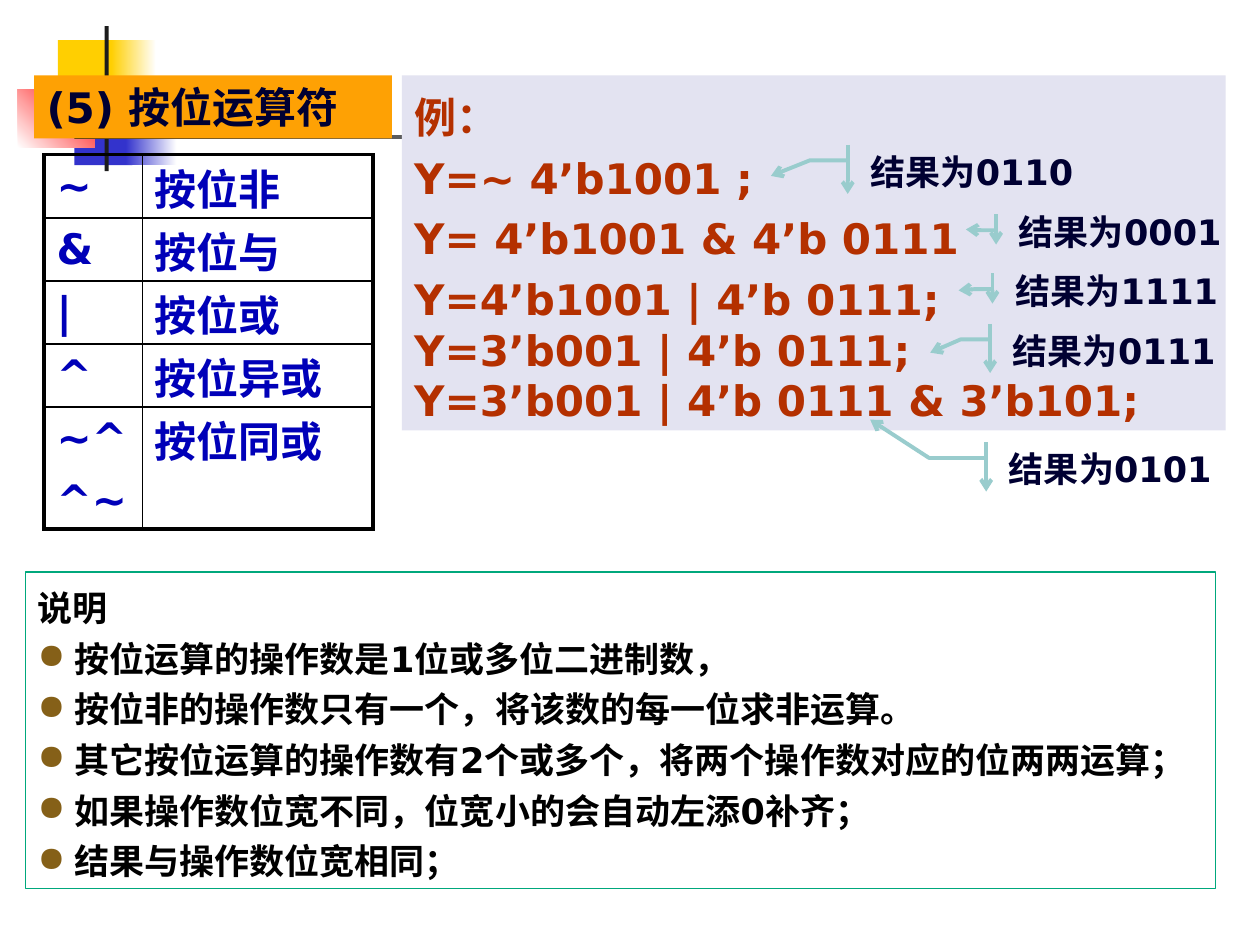
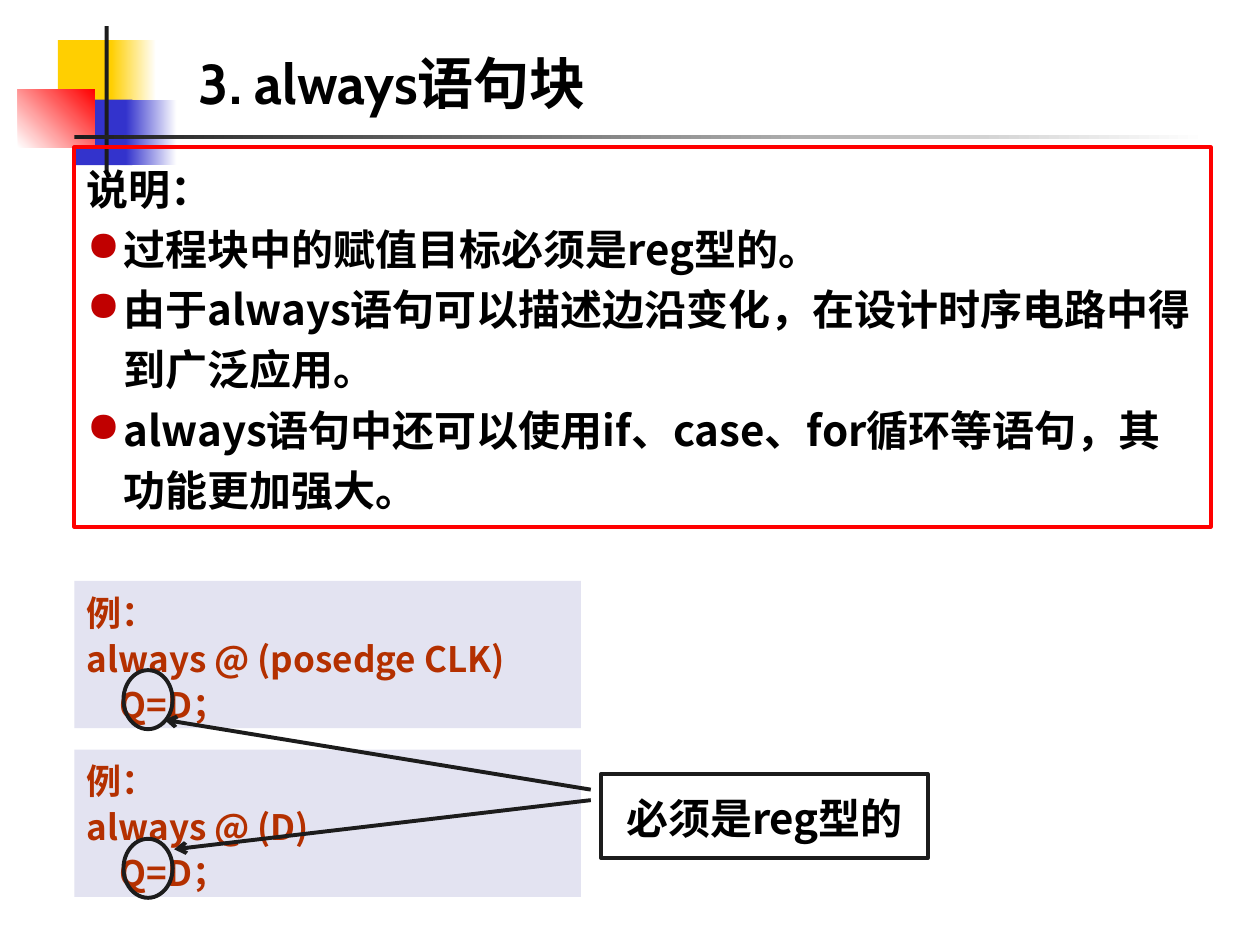
from dataclasses import dataclass

from lxml import etree
from pptx import Presentation
from pptx.dml.color import RGBColor
from pptx.enum.shapes import MSO_CONNECTOR, MSO_SHAPE
from pptx.enum.text import MSO_ANCHOR, PP_ALIGN
from pptx.oxml.ns import qn
from pptx.util import Cm, Pt

RECT, OVAL = MSO_SHAPE.RECTANGLE, MSO_SHAPE.OVAL
BENT_CALLOUT = MSO_SHAPE.LINE_CALLOUT_2_ACCENT_BAR
BOX_CALLOUT = MSO_SHAPE.LINE_CALLOUT_1
STRAIGHT = MSO_CONNECTOR.STRAIGHT
TOP, MIDDLE, BOTTOM = MSO_ANCHOR.TOP, MSO_ANCHOR.MIDDLE, MSO_ANCHOR.BOTTOM
LEFT, CENTER, JUSTIFY = PP_ALIGN.LEFT, PP_ALIGN.CENTER, PP_ALIGN.JUSTIFY


@dataclass(frozen=True)
class Theme:
    white: str = "FFFFFF"
    black: str = "000000"
    ink: str = "1C1C1C"
    navy: str = "000032"
    yellow: str = "FFCF01"
    blue: str = "3333CC"
    red: str = "FF0000"
    orange: str = "FEA104"
    panel: str = "E3E3F1"
    code: str = "B43000"
    operator: str = "0000B8"
    pointer: str = "99CCCD"
    note_border: str = "00A87C"
    note_bullet: str = "856018"
    rule_bullet: str = "C00000"
    title_size: int = 32
    large: int = 24
    body: int = 20
    stroke: float = 2.25
    thin: float = 1
    hairline: float = 0.75
    title_font: str = "Cabin"
    code_font: str = "DejaVu Sans"
    cjk_font: str = "Noto Sans CJK SC"


T = Theme()


@dataclass(frozen=True)
class Box:
    left: float
    top: float
    width: float
    height: float

    def cm(self) -> tuple:
        return Cm(self.left), Cm(self.top), Cm(self.width), Cm(self.height)


@dataclass(frozen=True)
class Style:
    size: int
    color: str
    font: str
    pitch: float
    align: PP_ALIGN = LEFT


@dataclass(frozen=True)
class Line:
    text: str
    bullet: str = ""
    indent: float = 0
    hanging: float = 0
    pitch: float = 0
    before: float = 0


@dataclass(frozen=True)
class Band:
    box: Box
    start: str
    end: str = ""
    angle: int = 0


@dataclass(frozen=True)
class Result:
    value: str
    box: Box
    bends: tuple


HEADING = Style(T.large, T.navy, T.code_font, 29)
OPERATOR = Style(T.large, T.operator, T.code_font, 28.8)
BITWISE_CODE = Style(T.large, T.code, T.code_font, 34.6)
RESULT = Style(T.body, T.navy, T.code_font, 26)
NOTES = Style(T.body, T.black, T.code_font, 28.9, JUSTIFY)
TITLE = Style(T.title_size, T.black, T.title_font, 38)
RULES = Style(T.large, T.black, T.cjk_font, 34.4)
ALWAYS_CODE = Style(T.body, T.code, T.cjk_font, 26.3)
REG_LABEL = Style(T.large, T.black, T.cjk_font, 31, CENTER)
HANG = 0.74

BANDS = (
    Band(Box(1.17, 0.81, 1.22, 1.32), T.yellow),
    Band(Box(2.24, 0.81, 0.91, 1.32), T.yellow, T.white),
    Band(Box(1.5, 2.01, 1.17, 1.32), T.blue),
    Band(Box(2.54, 2.01, 1.02, 1.32), T.blue, T.white),
    Band(Box(0.36, 1.8, 1.55, 1.17), T.white, T.red, 45),
    Band(Box(2.11, 0.53, 0.08, 2.92), T.ink),
    Band(Box(1.5, 2.72, 22.86, 0.08), T.ink, T.white),
)


# Text and line helpers
def rgb(color: str) -> RGBColor:
    return RGBColor.from_string(color)


def write(frame, lines, style: Style, anchor=TOP) -> None:
    frame.word_wrap = True
    frame.vertical_anchor = anchor
    for number, line in enumerate(lines):
        paragraph = frame.paragraphs[0] if number == 0 else frame.add_paragraph()
        paragraph.text = line.text
        paragraph.alignment = style.align
        paragraph.line_spacing = Pt(line.pitch or style.pitch)
        paragraph.space_before = Pt(line.before)
        font = paragraph.font
        font.size, font.bold, font.name = Pt(style.size), True, style.font
        font.color.rgb = rgb(style.color)
        properties = paragraph._p.get_or_add_pPr()
        properties.set("marL", str(Cm(line.indent)))
        properties.set("indent", str(-Cm(line.hanging)))
        defaults = properties.find(qn("a:defRPr"))
        etree.SubElement(defaults, qn("a:ea"), typeface=T.cjk_font)
        if line.bullet:
            color = etree.Element(qn("a:buClr"))
            etree.SubElement(color, qn("a:srgbClr"), val=line.bullet)
            defaults.addprevious(color)
            defaults.addprevious(etree.Element(qn("a:buChar"), char="●"))


def stroke(line, color: str, width: float, arrow: bool = False) -> None:
    line.color.rgb = rgb(color)
    line.width = Pt(width)
    if arrow:
        etree.SubElement(line._get_or_add_ln(), qn("a:tailEnd"), type="arrow")


def draw(slide, box: Box, kind=RECT, fill: str = "", line: str = "",
         width: float = T.stroke, arrow: bool = False, bends: tuple = ()):
    shape = slide.shapes.add_shape(kind, *box.cm())
    shape.shadow.inherit = False
    for index, bend in enumerate(bends):
        shape.adjustments[index] = bend
    if fill:
        shape.fill.solid()
        shape.fill.fore_color.rgb = rgb(fill)
    else:
        shape.fill.background()
    if line:
        stroke(shape.line, line, width, arrow)
    else:
        shape.line.fill.background()
    return shape


def bulleted(heading: str, points, color: str) -> list:
    return [Line(heading, "", HANG, HANG)] + [
        Line(point, color, HANG, HANG) for point in points]


def new_slide(deck):
    """Add a slide with the shared corner ornament and rule."""
    slide = deck.slides.add_slide(deck.slide_layouts[6])
    for band in BANDS:
        shape = draw(slide, band.box, fill=band.start)
        if band.end:
            shape.fill.gradient()
            shape.fill.gradient_angle = band.angle
            for stop, color in zip(shape.fill.gradient_stops, (band.start, band.end)):
                stop.color.rgb = rgb(color)
    return slide


# Operator table
OPERATORS = (
    (("~",), "按位非"),
    (("&",), "按位与"),
    (("|",), "按位或"),
    (("^",), "按位异或"),
    (("~^", "^~"), "按位同或"),
)


def border(cell, outer: dict) -> None:
    properties = cell._tc.get_or_add_tcPr()
    for side, is_outer in outer.items():
        width = T.stroke if is_outer else T.thin
        edge = etree.SubElement(properties, qn(f"a:ln{side}"), w=str(Pt(width)))
        fill = etree.SubElement(edge, qn("a:solidFill"))
        etree.SubElement(fill, qn("a:srgbClr"), val=T.black)


def operator_table(slide) -> None:
    last = len(OPERATORS) - 1
    heights = [1.27] * last + [2.46]
    table = slide.shapes.add_table(
        len(OPERATORS), 2, *Box(0.89, 3.12, 6.63, sum(heights)).cm()).table
    table.first_row = table.horz_banding = False
    for column, width in zip(table.columns, (1.98, 4.65)):
        column.width = Cm(width)
    for row, (symbols, meaning) in enumerate(OPERATORS):
        table.rows[row].height = Cm(heights[row])
        for column, texts in enumerate((symbols, (meaning,))):
            cell = table.cell(row, column)
            border(cell, {"L": column == 0, "R": column == 1,
                          "T": row == 0, "B": row == last})
            cell.fill.background()
            cell.margin_top = Cm(0.25 if column else 0.13)
            cell.margin_bottom = 0
            write(cell.text_frame, [Line(text, before=6.5 * number)
                                    for number, text in enumerate(texts)], OPERATOR)


# Slide 1: bitwise operators
RESULTS = (
    Result("0110", Box(17.3, 2.92, 5.41, 0.99), (0.317, -0.039, 0.317, -0.18, 0.634, -0.325)),
    Result("0001", Box(20.29, 4.32, 5.11, 0.61), (0.529, -0.041, 0.529, -0.099, 0.5, -0.16)),
    Result("1111", Box(20.22, 5.51, 5.18, 0.61), (0.522, -0.041, 0.522, -0.106, 0.565, -0.173)),
    Result("0111", Box(20.17, 6.53, 5.23, 0.99), (0.317, -0.04, 0.317, -0.154, 0.586, -0.271)),
    Result("0101", Box(20.09, 8.92, 5.23, 0.99), (0.317, -0.04, 0.317, -0.26, -0.463, -0.487)),
)


def bitwise_slide(deck) -> None:
    slide = new_slide(deck)
    heading = draw(slide, Box(0.69, 1.52, 7.21, 1.27), fill=T.orange)
    write(heading.text_frame, [Line("(5) 按位运算符")], HEADING)
    operator_table(slide)

    example = draw(slide, Box(8.1, 1.52, 16.61, 7.16), fill=T.panel)
    write(example.text_frame, [
        Line("例："),
        Line("Y=~ 4’b1001 ;"),
        Line("Y= 4’b1001 & 4’b 0111"),
        Line("Y=4’b1001 | 4’b 0111;"),
        Line("Y=3’b001 | 4’b 0111;", pitch=28.9),
        Line("Y=3’b001 | 4’b 0111 & 3’b101;", pitch=28.9),
    ], BITWISE_CODE)
    for result in RESULTS:
        callout = draw(slide, result.box, BENT_CALLOUT, line=T.pointer,
                       arrow=True, bends=result.bends)
        write(callout.text_frame, [Line(f"结果为{result.value}")], RESULT, MIDDLE)

    notes = draw(slide, Box(0.51, 11.53, 24, 6.38), line=T.note_border, width=T.hairline)
    write(notes.text_frame, bulleted("说明", (
        "按位运算的操作数是1位或多位二进制数，",
        "按位非的操作数只有一个，将该数的每一位求非运算。",
        "其它按位运算的操作数有2个或多个，将两个操作数对应的位两两运算；",
        "如果操作数位宽不同，位宽小的会自动左添0补齐；",
        "结果与操作数位宽相同；",
    ), T.note_bullet), NOTES)


# Slide 2: always blocks
def always_slide(deck) -> None:
    slide = new_slide(deck)
    title = slide.shapes.add_textbox(*Box(3.76, 0.53, 21.64, 1.93).cm())
    write(title.text_frame, [Line("3. always语句块")], TITLE, BOTTOM)

    rules = draw(slide, Box(1.5, 2.97, 22.91, 7.65), line=T.red)
    write(rules.text_frame, bulleted("说明：", (
        "过程块中的赋值目标必须是reg型的。",
        "由于always语句可以描述边沿变化，在设计时序电路中得到广泛应用。",
        "always语句中还可以使用if、case、for循环等语句，其功能更加强大。",
    ), T.rule_bullet), RULES)

    for number, trigger in enumerate(("posedge CLK", "D")):
        top = 11.71 + 3.4 * number
        example = draw(slide, Box(1.5, top, 10.21, 2.97), fill=T.panel)
        write(example.text_frame, [
            Line("例："), Line(f"always @ ({trigger})"), Line("Q=D；", indent=0.66),
        ], ALWAYS_CODE)
        draw(slide, Box(2.49, top + 1.8, 0.99, 1.19), OVAL, line=T.ink)

    reg_label = draw(slide, Box(12.12, 15.6, 6.58, 1.7), BOX_CALLOUT, line=T.ink,
                     arrow=True, bends=(0.188, -0.032, -0.641, -1.338))
    write(reg_label.text_frame, [Line("必须是reg型的")], REG_LABEL, MIDDLE)
    pointer = slide.shapes.add_connector(
        STRAIGHT, Cm(11.91), Cm(16.13), Cm(3.51), Cm(17.12))
    stroke(pointer.line, T.ink, T.stroke, arrow=True)
    etree.SubElement(pointer._element.spPr, qn("a:effectLst"))


def main() -> None:
    deck = Presentation()
    deck.slide_width, deck.slide_height = Cm(25.4), Cm(19.05)
    bitwise_slide(deck)
    always_slide(deck)
    deck.save("out.pptx")


if __name__ == "__main__":
    main()
